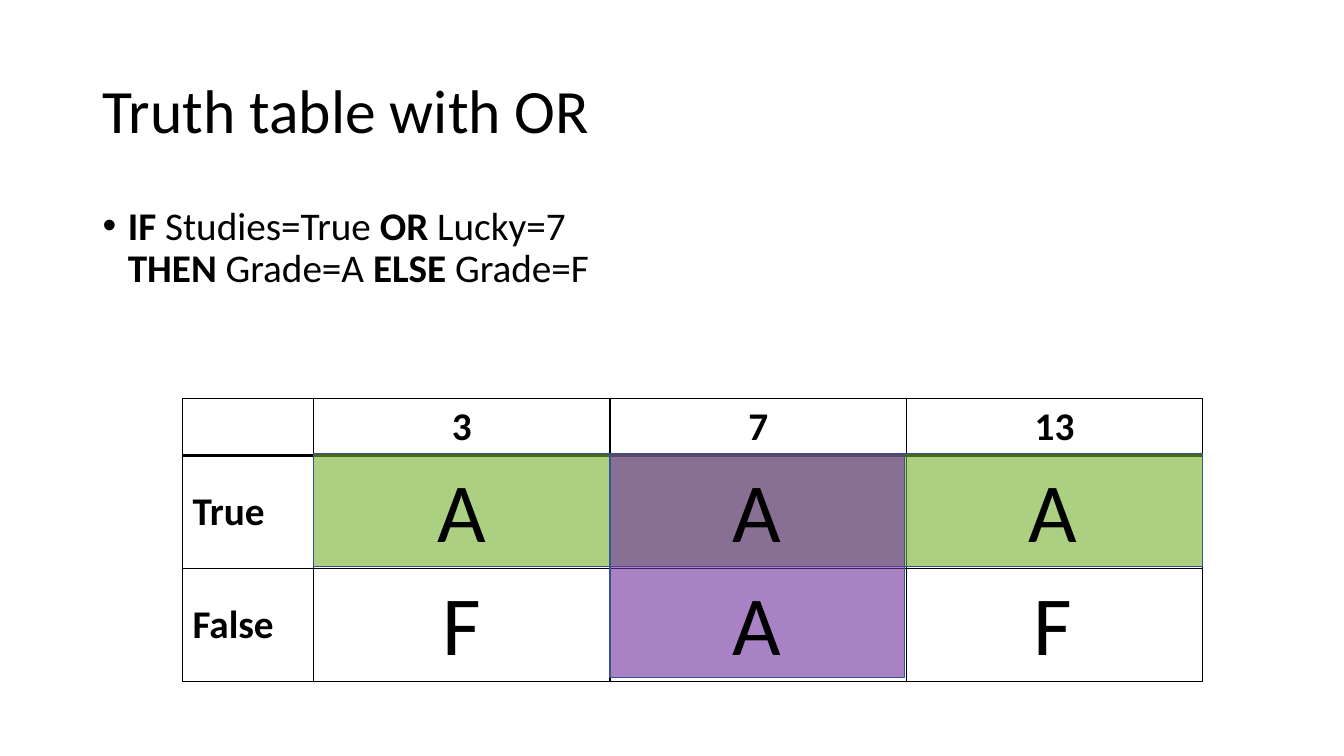
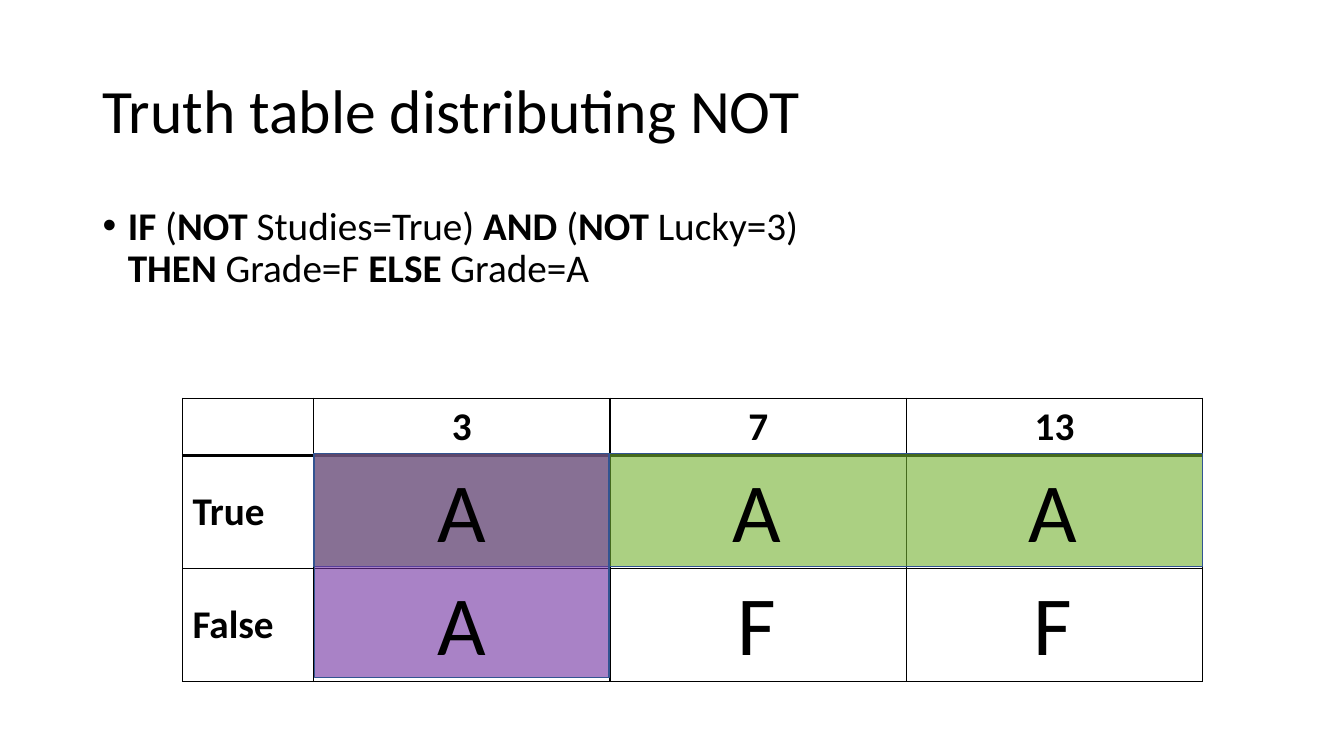
from dataclasses import dataclass

from pptx import Presentation
from pptx.dml.color import RGBColor
from pptx.enum.shapes import MSO_SHAPE as Shape
from pptx.enum.text import MSO_ANCHOR as Anchor, PP_ALIGN as Align
from pptx.oxml import parse_xml
from pptx.oxml.ns import nsdecls, qn
from pptx.util import Inches, Pt

FONT = "Calibri"
BLACK, GREEN, PURPLE, BLUE = "000000", "74B230", "7030A0", "325491"
LEFT, TOP = 1.81, 3.95
HEAD_W, COL_W = 1.3, 2.94
HEAD_H, ROW_H = 0.57, 1.12
GRID_X, GRID_Y = 3.12, 4.5
STEP_X, WIDE, HIGH = 2.93, 2.92, 1.11
LABELS = (("", "3", "7", "13"), ("True", "", "", ""), ("False", "", "", ""))


@dataclass(frozen=True)
class Truth:
    title: str
    rule: tuple[str, ...]  # lines, with *bold* words
    grades: tuple[str, ...]  # one string for each row
    lucky: int  # column under the purple shade


TRUTHS = (
    Truth("Truth table with OR",
          ("*IF* Studies=True *OR* Lucky=7", "*THEN* Grade=A *ELSE* Grade=F"),
          ("AAA", "FAF"), 1),
    Truth("Truth table distributing NOT",
          ("*IF* (*NOT* Studies=True) *AND* (*NOT* Lucky=3)",
           "*THEN* Grade=F *ELSE* Grade=A"),
          ("AAA", "AFF"), 0),
)


def rgb(code: str) -> RGBColor:
    return RGBColor.from_string(code)


def style(run, size: float, bold: bool = False) -> None:
    font = run.font
    font.name, font.size, font.bold = FONT, Pt(size), bold
    font.color.rgb = rgb(BLACK)


def add_box(slide, x: float, y: float, w: float, h: float):
    box = slide.shapes.add_textbox(Inches(x), Inches(y), Inches(w), Inches(h))
    box.text_frame.word_wrap = True
    return box.text_frame


def add_title(slide, text: str) -> None:
    frame = add_box(slide, 0.92, 0.4, 11.5, 1.45)
    frame.vertical_anchor = Anchor.MIDDLE
    frame.text = text
    para = frame.paragraphs[0]
    para.line_spacing = 0.9
    style(para.runs[0], 44)


def add_rule(slide, lines: tuple[str, ...]) -> None:
    para = add_box(slide, 0.92, 2, 11.5, 4.76).paragraphs[0]
    para.line_spacing = 0.9
    para.space_before = Pt(10)
    props = para._p.get_or_add_pPr()
    props.set("marL", str(Inches(0.25)))
    props.set("indent", str(Inches(-0.25)))
    props.append(parse_xml(f'<a:buFont {nsdecls("a")} typeface="Arial"/>'))
    props.append(parse_xml(f'<a:buChar {nsdecls("a")} char="•"/>'))
    for row, line in enumerate(lines):
        if row:
            para.add_line_break()
        for i, part in enumerate(line.split("*")):
            if part:
                run = para.add_run()
                run.text = part
                style(run, 28, bold=i % 2 == 1)


def add_edges(cell, row: int) -> None:
    """Draw the cell's four borders, heavier below the header row."""
    props = cell._tc.get_or_add_tcPr()
    widths = {"L": 1, "R": 1, "T": 2 if row == 1 else 1, "B": 2 if row == 0 else 1}
    for i, (side, width) in enumerate(widths.items()):
        props.insert(i, parse_xml(
            f'<a:ln{side} {nsdecls("a")} w="{Pt(width)}"><a:solidFill>'
            f'<a:srgbClr val="{BLACK}"/></a:solidFill></a:ln{side}>'))


def add_grid(slide) -> None:
    widths = (HEAD_W, COL_W, COL_W, COL_W)
    heights = (HEAD_H, ROW_H, ROW_H)
    table = slide.shapes.add_table(
        len(heights), len(widths), Inches(LEFT), Inches(TOP),
        Inches(sum(widths)), Inches(sum(heights))).table
    table.first_row = table.horz_banding = False
    for col, width in zip(table.columns, widths):
        col.width = Inches(width)
    for r, (labels, height) in enumerate(zip(LABELS, heights)):
        table.rows[r].height = Inches(height)
        for c, label in enumerate(labels):
            cell = table.cell(r, c)
            cell.fill.background()
            add_edges(cell, r)
            if label:
                cell.text = label
                para = cell.text_frame.paragraphs[0]
                style(para.runs[0], 28, bold=True)
                if r == 0:
                    para.alignment = Align.CENTER
                else:
                    cell.vertical_anchor = Anchor.MIDDLE


def add_shade(slide, x: float, w: float, h: float, color: str) -> None:
    rect = slide.shapes.add_shape(
        Shape.RECTANGLE, Inches(x), Inches(GRID_Y), Inches(w), Inches(h))
    rect.shadow.inherit = False
    rect.fill.solid()
    rect.fill.fore_color.rgb = rgb(color)
    fill = rect._element.spPr.find(qn("a:solidFill"))
    fill[0].append(parse_xml(f'<a:alpha {nsdecls("a")} val="60000"/>'))
    rect.line.color.rgb = rgb(BLUE)
    rect.line.width = Pt(1)


def add_grade(slide, row: int, col: int, grade: str) -> None:
    frame = add_box(slide, GRID_X + col * STEP_X, GRID_Y + row * ROW_H, WIDE, HIGH)
    frame.text = grade
    para = frame.paragraphs[0]
    para.alignment = Align.CENTER
    style(para.runs[0], 60)


def add_truth(deck, truth: Truth) -> None:
    slide = deck.slides.add_slide(deck.slide_layouts[6])
    add_title(slide, truth.title)
    add_rule(slide, truth.rule)
    add_grid(slide)
    add_shade(slide, LEFT + HEAD_W, 3 * COL_W, ROW_H, GREEN)
    add_shade(slide, GRID_X + truth.lucky * STEP_X, WIDE, 2 * HIGH, PURPLE)
    for row, grades in enumerate(truth.grades):
        for col, grade in enumerate(grades):
            add_grade(slide, row, col, grade)


def main() -> None:
    deck = Presentation()
    deck.slide_width, deck.slide_height = Inches(13.33), Inches(7.5)
    for truth in TRUTHS:
        add_truth(deck, truth)
    deck.save("out.pptx")


if __name__ == "__main__":
    main()
